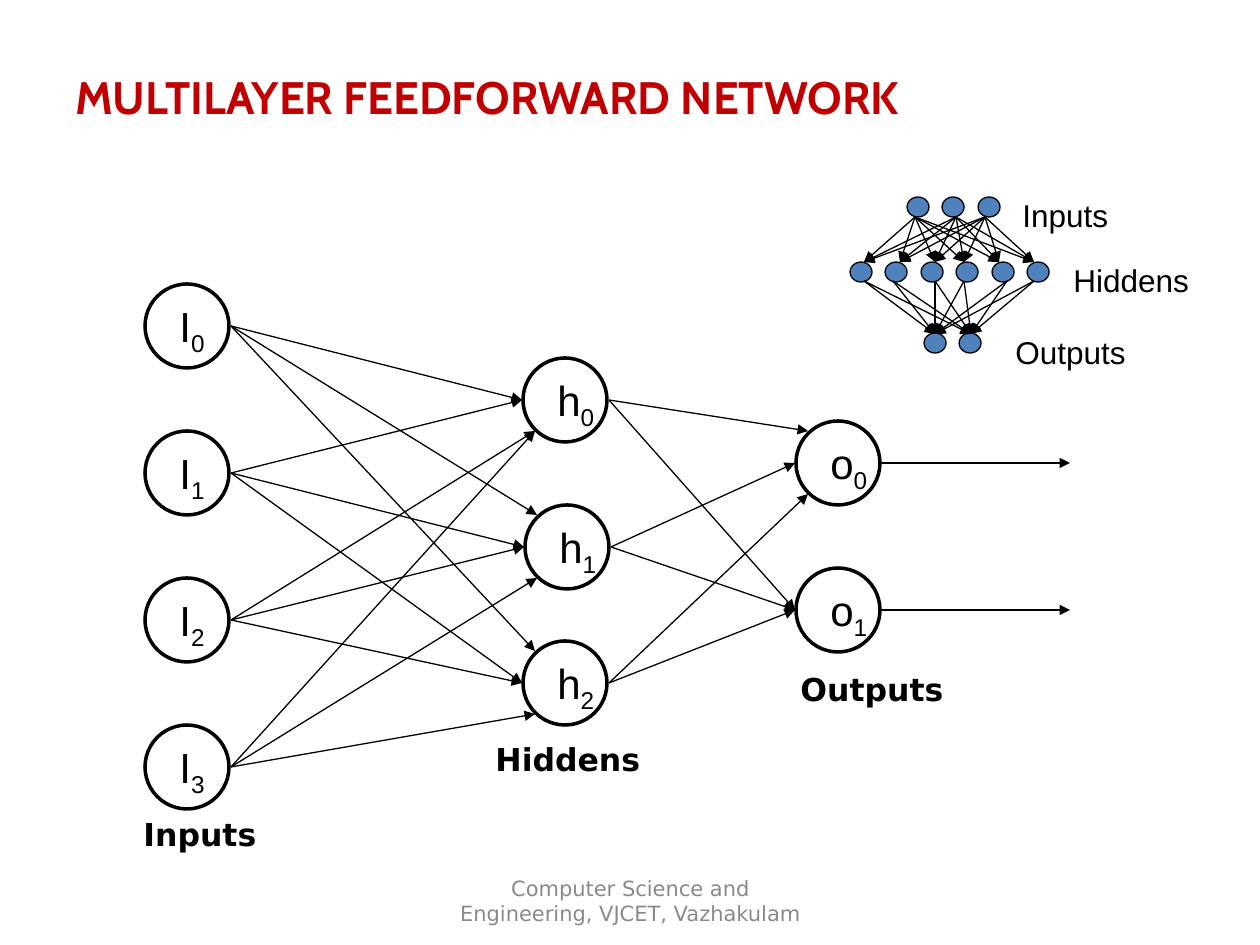
from dataclasses import dataclass
from itertools import product

from lxml import etree
from pptx import Presentation
from pptx.dml.color import RGBColor
from pptx.enum.shapes import MSO_CONNECTOR, MSO_SHAPE
from pptx.enum.text import MSO_ANCHOR, PP_ALIGN
from pptx.oxml.ns import qn
from pptx.util import Emu, Pt

OVAL = MSO_SHAPE.OVAL
STRAIGHT = MSO_CONNECTOR.STRAIGHT
MIDDLE = MSO_ANCHOR.MIDDLE
CENTER = PP_ALIGN.CENTER

EMU_PER_PX = 914400 / 126
BLACK = "000000"
NEURON_SIZE = 84
# Arrow ends, measured from the top left corner of a neuron
ENTRY = {"left": (-1, 42), "top": (12, 10), "bottom": (12, 73)}
EXIT = (86, 42)


@dataclass(frozen=True)
class Label:
    text: str
    left: int
    top: int
    width: int
    height: int
    style: dict
    wrap: bool = True
    subscript: str = ""


@dataclass(frozen=True)
class Neuron:
    letter: str
    index: int
    left: int
    top: int
    label_width: int


PLAIN = {"name": "Arial", "size": Pt(18)}
SYMBOL = {"name": "Arial", "size": Pt(24)}
CAPTION = {"name": "DejaVu Sans", "size": Pt(18), "bold": True}
HEADING = {"name": "Cabin", "size": Pt(26), "bold": True}
FOOTNOTE = {"name": "DejaVu Sans", "size": Pt(12)}

TITLE = Label("MULTILAYER FEEDFORWARD NETWORK", 63, 63, 1041, 68, HEADING)
FOOTER = Label("Computer Science and Engineering, VJCET, Vazhakulam",
               431, 876, 399, 50, FOOTNOTE)
LAYER_CAPTIONS = [
    Label("Inputs", 131, 809, 210, 50, CAPTION),
    Label("Hiddens", 483, 734, 210, 50, CAPTION),
    Label("Outputs", 788, 664, 210, 50, CAPTION),
]
OVERVIEW_LABELS = [
    Label("Inputs", 1010, 190, 160, 50, PLAIN),
    Label("Hiddens", 1061, 255, 160, 50, PLAIN),
    Label("Outputs", 1003, 327, 160, 50, PLAIN),
]

# Overview: centre height and centre columns of each layer
OVERVIEW_LAYERS = [
    (207, (918, 953, 989)),
    (272, (861, 896, 932, 967, 1003, 1038)),
    (343, (935, 970)),
]
# Overview: start height, start columns, end height, end columns
OVERVIEW_LINKS = [
    (217, (915, 956, 985), 262, (864, 900, 935, 964, 999, 1034)),
    (281, (864, 893, 935, 964, 1007, 1034), 334, (935, 971)),
]

INPUTS = [Neuron("I", i, 145, 284 + 147 * i, 51) for i in range(4)]
HIDDENS = [Neuron("h", i, left, top, 62)
           for i, (left, top) in enumerate([(523, 358), (525, 505), (523, 641)])]
OUTPUTS = [Neuron("o", i, 796, 421 + 147 * i, 62) for i in range(2)]

# One row per source neuron: where its arrows enter each target neuron
INPUT_ENTRIES = [
    ("left", "top", "top"),
    ("left", "left", "left"),
    ("bottom", "left", "left"),
    ("bottom", "bottom", "bottom"),
]
HIDDEN_ENTRIES = [("top", "left"), ("left", "left"), ("bottom", "left")]


def px(length: int) -> Emu:
    return Emu(round(length * EMU_PER_PX))


def rgb(hex_code: str) -> RGBColor:
    return RGBColor.from_string(hex_code)


def add_label(shapes, label: Label, color: str = BLACK):
    box = shapes.add_textbox(px(label.left), px(label.top),
                             px(label.width), px(label.height))
    frame = box.text_frame
    frame.word_wrap = label.wrap
    paragraph = frame.paragraphs[0]
    for text in filter(None, (label.text, label.subscript)):
        run = paragraph.add_run()
        run.text = text
        for attribute, value in label.style.items():
            setattr(run.font, attribute, value)
        run.font.color.rgb = rgb(color)
    if label.subscript:
        run._r.get_or_add_rPr().set("baseline", "-25000")
    return frame


def add_circle(shapes, left: int, top: int, width: int, height: int,
               line_width: float, fill: str = ""):
    circle = shapes.add_shape(OVAL, px(left), px(top), px(width), px(height))
    circle.shadow.inherit = False
    if fill:
        circle.fill.solid()
        circle.fill.fore_color.rgb = rgb(fill)
    else:
        circle.fill.background()
    circle.line.color.rgb = rgb(BLACK)
    circle.line.width = Pt(line_width)
    return circle


def add_arrow(shapes, start: tuple[int, int], end: tuple[int, int]) -> None:
    arrow = shapes.add_connector(STRAIGHT, *map(px, start + end))
    arrow.line.color.rgb = rgb(BLACK)
    arrow.line.width = Pt(0.75)
    etree.SubElement(arrow.line._get_or_add_ln(), qn("a:tailEnd"), type="triangle")
    etree.SubElement(arrow._element.spPr, qn("a:effectLst"))


def add_neuron(shapes, neuron: Neuron) -> None:
    add_label(shapes, Label(neuron.letter, neuron.left + 22, neuron.top + 10,
                            neuron.label_width, 70, SYMBOL, wrap=False,
                            subscript=str(neuron.index)))
    add_circle(shapes, neuron.left, neuron.top, NEURON_SIZE, NEURON_SIZE, 2)


def point_on(neuron: Neuron, offset: tuple[int, int]) -> tuple[int, int]:
    return neuron.left + offset[0], neuron.top + offset[1]


def connect_layers(shapes, sources: list[Neuron], targets: list[Neuron],
                   entries: list[tuple[str, ...]]) -> None:
    for source, sides in zip(sources, entries):
        for target, side in zip(targets, sides):
            add_arrow(shapes, point_on(source, EXIT), point_on(target, ENTRY[side]))


def draw_overview(shapes) -> None:
    for center_y, columns in OVERVIEW_LAYERS:
        for center_x in columns:
            node = add_circle(shapes, center_x - 10, center_y - 11, 20, 22,
                              0.75, "4F81BD")
            node.rotation = 90
    for start_y, starts, end_y, ends in OVERVIEW_LINKS:
        for start_x, end_x in product(starts, ends):
            add_arrow(shapes, (start_x, start_y), (end_x, end_y))
    for label in OVERVIEW_LABELS:
        add_label(shapes, label)


def draw_network(shapes) -> None:
    for neuron in INPUTS + HIDDENS + OUTPUTS:
        add_neuron(shapes, neuron)
    connect_layers(shapes, INPUTS, HIDDENS, INPUT_ENTRIES)
    connect_layers(shapes, HIDDENS, OUTPUTS, HIDDEN_ENTRIES)
    for output in OUTPUTS:
        x, y = point_on(output, (NEURON_SIZE + 1, 42))
        add_arrow(shapes, (x, y), (x + 189, y))


def main() -> None:
    presentation = Presentation()
    presentation.slide_width, presentation.slide_height = px(1260), px(945)
    slide = presentation.slides.add_slide(presentation.slide_layouts[6])
    add_label(slide.shapes, TITLE, "C00000")
    draw_overview(slide.shapes.add_group_shape().shapes)
    draw_network(slide.shapes.add_group_shape().shapes)
    for caption in LAYER_CAPTIONS:
        add_label(slide.shapes, caption)
    footer = add_label(slide.shapes, FOOTER, "898989")
    footer.vertical_anchor = MIDDLE
    footer.paragraphs[0].alignment = CENTER
    presentation.save("out.pptx")


if __name__ == "__main__":
    main()
